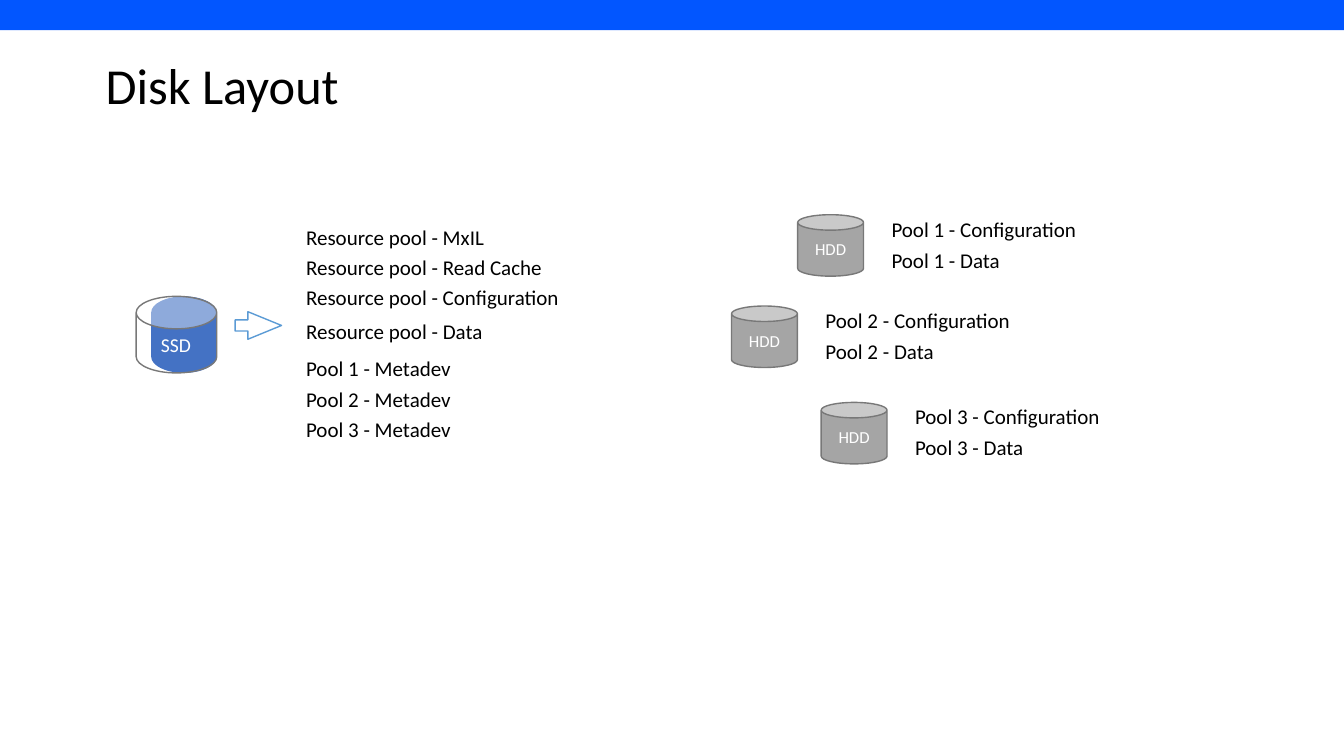
import pptx
import pptx.util
import pptx.dml.color
import pptx.enum.shapes
import pptx.enum.text
import pptx.oxml
import pptx.oxml.ns

RGB = pptx.dml.color.RGBColor
SHAPE = pptx.enum.shapes.MSO_SHAPE
ALIGN = pptx.enum.text.PP_ALIGN
ANCHOR = pptx.enum.text.MSO_ANCHOR
FIT = pptx.enum.text.MSO_AUTO_SIZE
QN = pptx.oxml.ns.qn

TITLE = "Disk Layout"
LEFT_RUNS = [
    (29.07, [("Resource pool - MxIL", 18.75),
             ("Resource pool - Read Cache", 20.18),
             ("Resource pool - Configuration", 24)]),
    (41.47, [("Resource pool - Data", 20.18)]),
    (46.43, [("Pool 1 - Metadev", 20.18),
             ("Pool 2 - Metadev", 20.18),
             ("Pool 3 - Metadev", 20.18)]),
]
POOLS = [
    (59.35, 28.4, ["Pool 1 - Configuration", "Pool 1 - Data"]),
    (54.43, 40.48, ["Pool 2 - Configuration", "Pool 2 - Data"]),
    (61.1, 53.23, ["Pool 3 - Configuration", "Pool 3 - Data"]),
]

BLUE = RGB(0x02, 0x56, 0xFF)
SSD = RGB(0x44, 0x72, 0xC4)
HDD = RGB(0xA5, 0xA5, 0xA5)
EDGE = RGB(0x78, 0x78, 0x78)
ARROW = RGB(0x5B, 0x9B, 0xD5)
WHITE = RGB(0xFF, 0xFF, 0xFF)
BLACK = RGB(0, 0, 0)
FONT = "Calibri"
INSET = pptx.util.Inches(0.05)
ROW = 3.98
LABEL_H = 4.53
BEND = 0.55

deck = pptx.Presentation()
deck.slide_width = pptx.util.Inches(13.33)
deck.slide_height = pptx.util.Inches(7.5)
slide = deck.slides.add_slide(deck.slide_layouts[5])


def across(share):
    return round(deck.slide_width * share / 100)


def down(share):
    return round(deck.slide_height * share / 100)


def place(x, y, w, h):
    return across(x), down(y), across(w), down(h)


def paint(shape, fill=None, line=None):
    shape.shadow.inherit = False
    if fill is None:
        shape.fill.background()
    else:
        shape.fill.solid()
        shape.fill.fore_color.rgb = fill
    if line is None:
        shape.line.fill.background()
    else:
        shape.line.color.rgb = line
        shape.line.width = pptx.util.Pt(1)


def write(frame, text, size, color):
    frame.text = text
    font = frame.paragraphs[0].runs[0].font
    font.size = pptx.util.Pt(size)
    font.name = FONT
    font.color.rgb = color


def label(home, text, box, size=15, color=BLACK):
    frame = home.add_textbox(*place(*box)).text_frame
    frame.word_wrap = True
    frame.margin_left = frame.margin_right = INSET
    frame.margin_top = frame.margin_bottom = INSET
    write(frame, text, size, color)
    return frame


def badge(home, text, box, size):
    frame = label(home, text, box, size, WHITE)
    frame.vertical_anchor = ANCHOR.MIDDLE
    frame.paragraphs[0].alignment = ALIGN.CENTER


def bend(shape):
    last = None
    for dot in list(shape._element.iter(QN("a:pt"))):
        here = int(dot.get("x")), int(dot.get("y"))
        if last and here[0] != last[0] and here[1] != last[1]:
            (x1, y1), (x2, y2) = last, here
            dx, dy = round(BEND * (x2 - x1)), round(BEND * (y2 - y1))
            if x1 in (0, shape.width):
                pulls = [(x1, y1 + dy), (x2 - dx, y2)]
            else:
                pulls = [(x1 + dx, y1), (x2, y2 - dy)]
            step = dot.getparent()
            curve = step.makeelement(QN("a:cubicBezTo"), {})
            step.getparent().replace(step, curve)
            for x, y in pulls + [here]:
                pptx.oxml.ns.qn
                point = curve.makeelement(QN("a:pt"), {"x": str(x), "y": str(y)})
                curve.append(point)
        last = here


def trace(home, points, close):
    pen = home.build_freeform(*points[0])
    pen.add_line_segments(points[1:], close=close)
    shape = pen.convert_to_shape()
    bend(shape)
    return shape


def drum(home, x, y, w, h, lid, color, gap=0):
    high, low = down(y), down(y + h)
    brim, base = down(y + lid / 2), down(y + h - lid / 2)
    right = across(x + w)

    left = across(x + gap)
    mid = (left + right) // 2
    body = [(left, brim), (mid, high), (right, brim),
            (right, base), (mid, low), (left, base)]
    paint(trace(home, body, True), color)

    top = home.add_shape(SHAPE.OVAL, *place(x, y, w, lid))
    paint(top, WHITE)
    tint = top._element.spPr.find(".//" + QN("a:srgbClr"))
    tint.append(tint.makeelement(QN("a:alpha"), {"val": "40000"}))

    left = across(x)
    mid = (left + right) // 2
    rim = [(right, brim), (mid, down(y + lid)), (left, brim), (mid, high),
           (right, brim), (right, base), (mid, low), (left, base), (left, brim)]
    paint(trace(home, rim, False), None, EDGE)


bar = slide.shapes.add_shape(SHAPE.RECTANGLE, *place(0, 0, 100, 4))
paint(bar, BLUE)

title = slide.shapes.title
title.left, title.top, title.width, title.height = place(7.1, 5.33, 85.8, 12.8)
write(title.text_frame, TITLE, 36, BLACK)
title.text_frame.vertical_anchor = ANCHOR.MIDDLE
title.text_frame.paragraphs[0].alignment = ALIGN.LEFT
title.text_frame.paragraphs[0].line_spacing = 0.9

group = slide.shapes.add_group_shape().shapes
drum(group, 10.13, 39.2, 6, 10.13, 4.3, SSD, 1.12)
badge(group, "SSD", (10.05, 42.67, 6.08, 5.87), 14)

arrow = slide.shapes.add_shape(SHAPE.RIGHT_ARROW, *place(17.5, 41.23, 3.45, 3.65))
arrow.adjustments[0] = 0.4
arrow.adjustments[1] = 1.22
paint(arrow, WHITE, ARROW)

for start, lines in LEFT_RUNS:
    for row, (text, wide) in enumerate(lines):
        label(slide.shapes, text, (22.4, start + row * ROW, wide, LABEL_H))

for x, y, lines in POOLS:
    group = slide.shapes.add_group_shape().shapes
    drum(group, x, y, 4.9, 8.13, 2.05, HDD)
    badge(group, "HDD", (x, y + 2.08, 4.9, 4.93), 12)
    for row, text in enumerate(lines):
        frame = label(group, text,
                      (x + 6.61, y - 0.48 + row * 4.1, 15.83, LABEL_H))
        frame.auto_size = FIT.SHAPE_TO_FIT_TEXT

deck.save("out.pptx")
